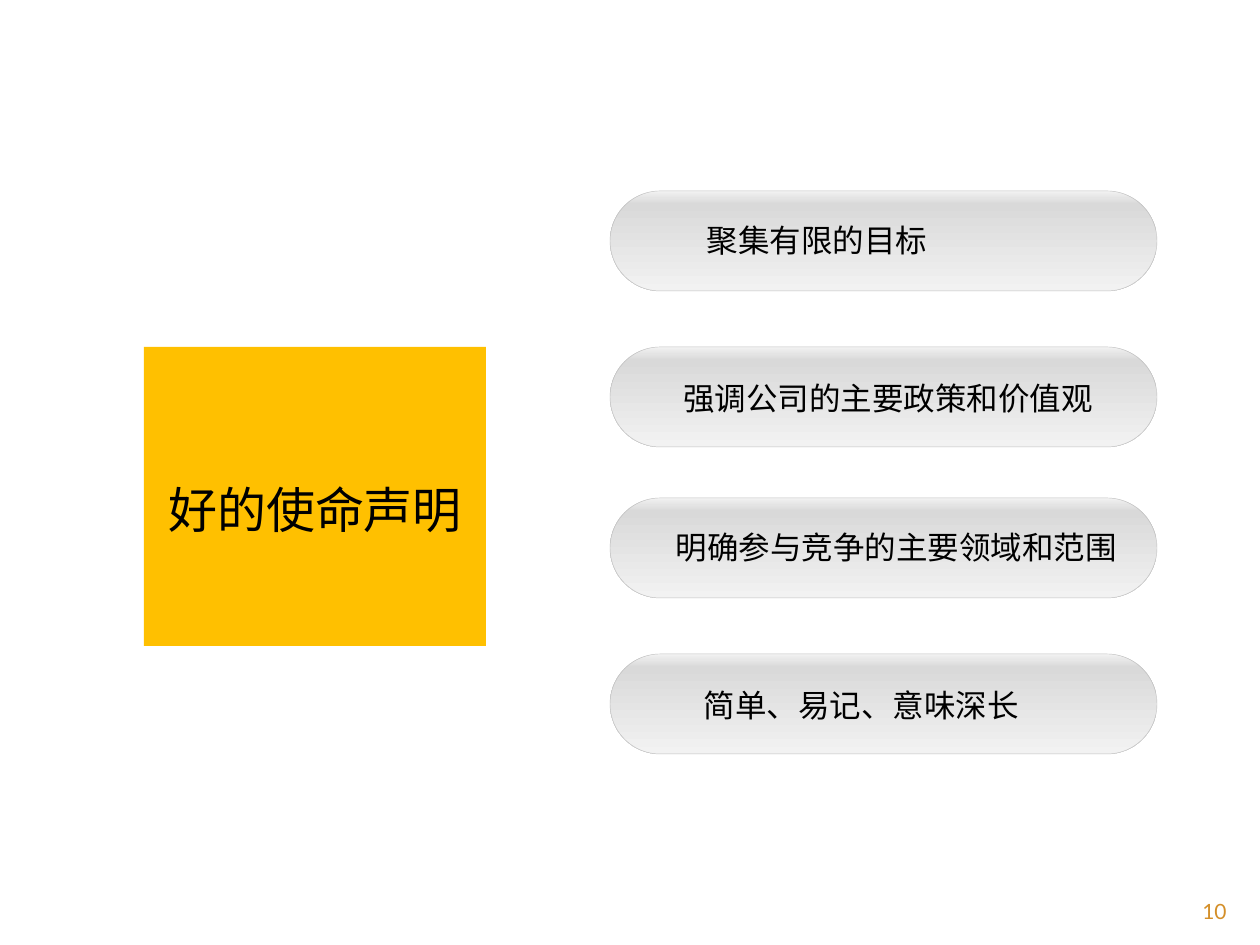
from dataclasses import dataclass

from lxml import etree
from pptx import Presentation
from pptx import util as u
from pptx.dml.color import RGBColor
from pptx.enum import shapes, text
from pptx.oxml import ns

PX = u.Inches(1) / 126


@dataclass(frozen=True)
class Theme:
    ink: str = "000000"
    accent: str = "FFC000"
    page: str = "D48F29"
    pill_line: str = "BFBFBF"
    pill_stops: tuple = ((0, "F2F2F2"), (13, "D9D9D9"), (100, "F2F2F2"))
    cjk_font: str = "Noto Sans CJK SC"
    latin_font: str = "Lato"
    headline: int = 28
    label: int = 18
    number: int = 12


THEME = Theme()
PILL_WIDTH, PILL_HEIGHT = 547, 100
# wording, pill top, label centre and label top inside its pill
QUALITIES = (
    ("聚集有限的目标", 191, 207, 24),
    ("强调公司的主要政策和价值观", 347, 278, 26),
    ("明确参与竞争的主要领域和范围", 498, 286, 24),
    ("简单、易记、意味深长", 654, 251, 26),
)


def emu(*lengths):
    return [round(length * PX) for length in lengths]


def add_words(slide, box, words, size, font, color, align=text.PP_ALIGN.CENTER, wrap=False):
    frame = slide.shapes.add_textbox(*emu(*box)).text_frame
    frame.word_wrap = wrap
    if not wrap:
        frame.auto_size = text.MSO_AUTO_SIZE.SHAPE_TO_FIT_TEXT
    line = frame.paragraphs[0]
    line.alignment = align
    run = line.add_run()
    run.text = words
    for name, value in {"size": u.Pt(size), "name": font}.items():
        setattr(run.font, name, value)
    run.font.color.rgb = RGBColor.from_string(color)
    east_asian = etree.SubElement(run.font._element, ns.qn("a:ea"))
    east_asian.set("typeface", font)


def shade(shape, stops):
    """Fill a shape with a top-to-bottom gradient of (percent, colour) stops."""
    shape.fill.gradient()
    gradient = shape.fill._xPr.find(ns.qn("a:gradFill"))
    stop_list = gradient.find(ns.qn("a:gsLst"))
    for old in list(stop_list):
        stop_list.remove(old)
    for percent, color in stops:
        stop = etree.SubElement(stop_list, ns.qn("a:gs"), pos=str(percent * 1000))
        etree.SubElement(stop, ns.qn("a:srgbClr"), val=color)
    gradient.find(ns.qn("a:lin")).set("ang", str(90 * 60000))


def add_headline(slide, left, top, width, height):
    block = slide.shapes.add_shape(
        shapes.MSO_SHAPE.RECTANGLE, *emu(left, top, width, height))
    block.shadow.inherit = False
    block.fill.solid()
    block.fill.fore_color.rgb = RGBColor.from_string(THEME.accent)
    block.line.fill.background()
    add_words(slide, (left + 10, top + 126, width - 20, 72), "好的使命声明",
              THEME.headline, THEME.cjk_font, THEME.ink)


def add_quality(slide, left, top, words, label_center, label_top):
    pill = slide.shapes.add_shape(
        shapes.MSO_SHAPE.ROUNDED_RECTANGLE, *emu(left, top, PILL_WIDTH, PILL_HEIGHT))
    pill.shadow.inherit = False
    pill.adjustments[0] = 0.5
    shade(pill, THEME.pill_stops)
    pill.line.color.rgb = RGBColor.from_string(THEME.pill_line)
    pill.line.width = u.Pt(0.25)
    width = 32 * len(words) + 25
    add_words(slide, (left + label_center - width / 2, top + label_top, width, 50),
              words, THEME.label, THEME.cjk_font, THEME.ink)


def add_page_number(slide, left, top, width, height):
    add_words(slide, (left, top, width, height), "10", THEME.number,
              THEME.latin_font, THEME.page, text.PP_ALIGN.RIGHT, wrap=True)


def main():
    deck = Presentation()
    deck.slide_width, deck.slide_height = emu(1260, 945)
    slide = deck.slides.add_slide(deck.slide_layouts[6])
    add_headline(slide, 144, 347, 342, 299)
    for words, top, label_center, label_top in QUALITIES:
        add_quality(slide, 610, top, words, label_center, label_top)
    add_page_number(slide, 1134, 892, 105, 34)
    deck.save("out.pptx")


if __name__ == "__main__":
    main()
